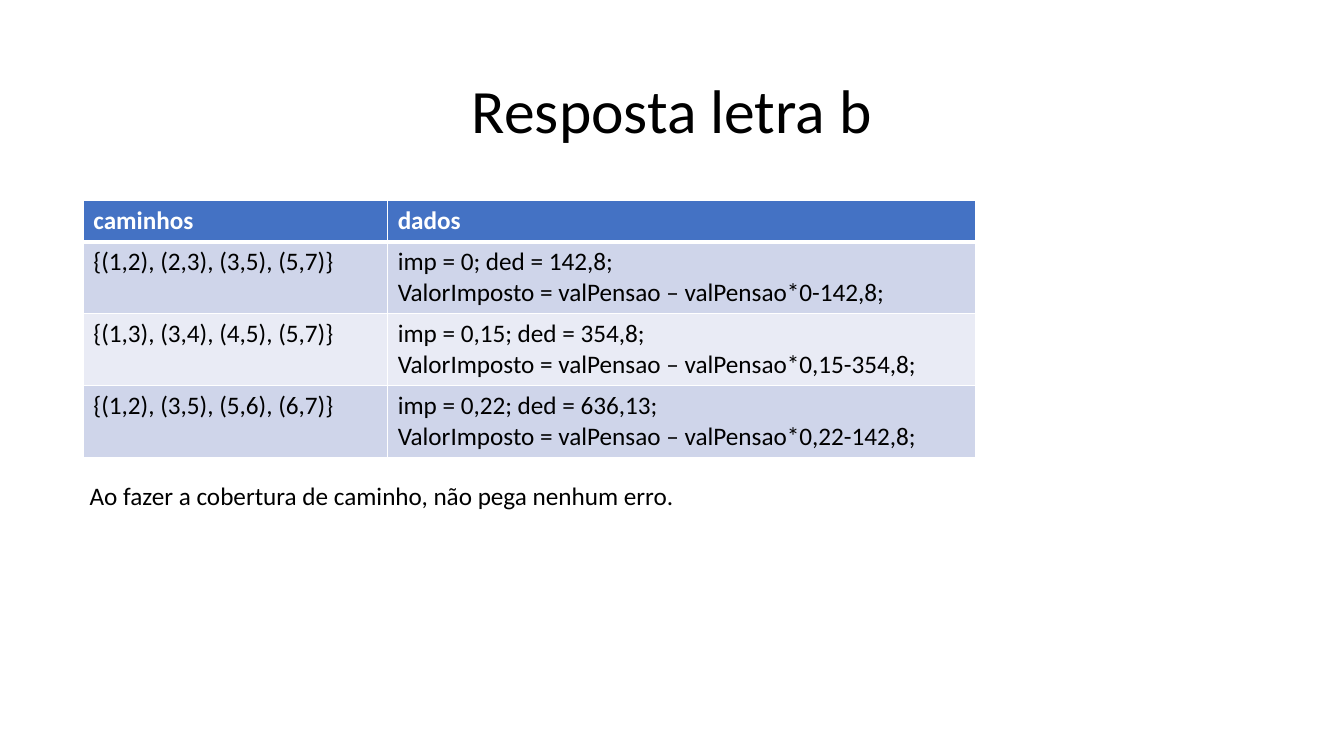
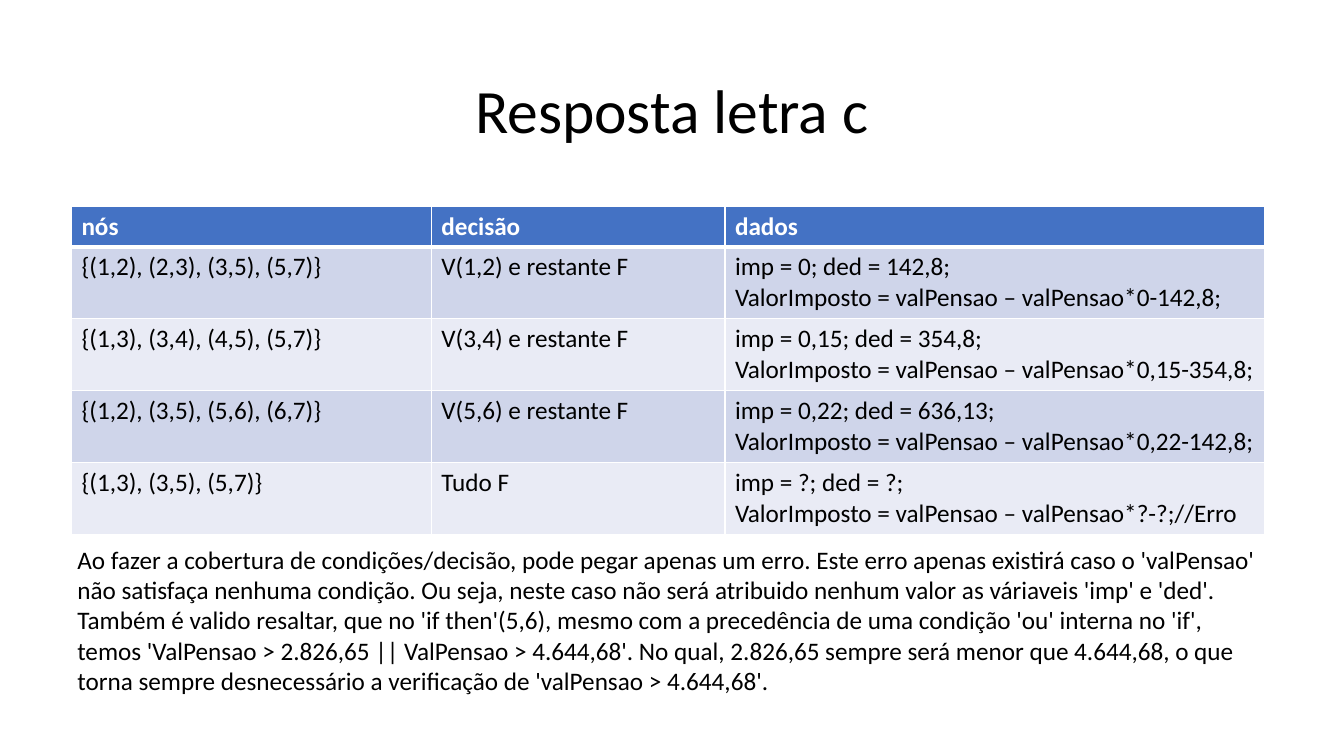
from dataclasses import dataclass

from lxml.etree import SubElement
from pptx import Presentation
from pptx.dml.color import RGBColor
from pptx.enum.text import MSO_ANCHOR as Anchor, PP_ALIGN as Align
from pptx.oxml.ns import qn
from pptx.slide import Slide
from pptx.table import _Cell as Cell
from pptx.text.text import TextFrame
from pptx.util import Cm, Pt

# Shared style
FONT = "Calibri"
COLORS = {
    "text": "000000",
    "grid": "FFFFFF",
    "header": "4472C4",
    "odd_row": "CFD5EA",
    "even_row": "E9EBF5",
}
HEADER_HEIGHT, BODY_HEIGHT = 1.03, 1.81
GRID_WIDTH, HEADER_RULE_WIDTH = 1, 3


@dataclass(frozen=True)
class Box:
    left: float
    top: float
    width: float
    height: float

    def lengths(self) -> tuple[Cm, Cm, Cm, Cm]:
        return Cm(self.left), Cm(self.top), Cm(self.width), Cm(self.height)


@dataclass(frozen=True)
class TestPath:
    nodes: str
    decision: str
    data: str


@dataclass(frozen=True)
class Column:
    heading: str
    width: float
    field: str


@dataclass(frozen=True)
class Answer:
    title: str
    table_left: float
    table_top: float
    columns: list[Column]
    paths: list[TestPath]
    note: str
    note_box: Box


TITLE_BOX = Box(2.33, 1.01, 29.21, 3.68)

# Content
PATHS = [
    TestPath("{(1,2), (2,3), (3,5), (5,7)}", "V(1,2) e restante F",
             "imp = 0; ded = 142,8;\n"
             "ValorImposto = valPensao – valPensao*0-142,8;"),
    TestPath("{(1,3), (3,4), (4,5), (5,7)}", "V(3,4) e restante F",
             "imp = 0,15; ded = 354,8;\n"
             "ValorImposto = valPensao – valPensao*0,15-354,8;"),
    TestPath("{(1,2), (3,5), (5,6), (6,7)}", "V(5,6) e restante F",
             "imp = 0,22; ded = 636,13;\n"
             "ValorImposto = valPensao – valPensao*0,22-142,8;"),
    TestPath("{(1,3), (3,5), (5,7)}", "Tudo F",
             "imp = ?; ded = ?;\n"
             "ValorImposto = valPensao – valPensao*?-?;//Erro"),
]

ANSWERS = [
    Answer(
        "Resposta letra b", 2.1, 5.06,
        [Column("caminhos", 7.67, "nodes"), Column("dados", 14.82, "data")],
        PATHS[:3],
        "Ao fazer a cobertura de caminho, não pega nenhum erro.",
        Box(2.01, 11.99, 30.45, 1.03),
    ),
    Answer(
        "Resposta letra c", 1.8, 5.19,
        [Column("nós", 9.07, "nodes"), Column("decisão", 7.4, "decision"),
         Column("dados", 13.59, "data")],
        PATHS,
        "Ao fazer a cobertura de condições/decisão, pode pegar apenas um erro. "
        "Este erro apenas existirá caso o 'valPensao' não satisfaça nenhuma "
        "condição. Ou seja, neste caso não será atribuido nenhum valor as "
        "váriaveis 'imp' e 'ded'.\n"
        "Também é valido resaltar, que no 'if then'(5,6), mesmo com a "
        "precedência de uma condição 'ou' interna no 'if', temos "
        "'ValPensao > 2.826,65 || ValPensao > 4.644,68'. No qual, 2.826,65 "
        "sempre será menor que 4.644,68, o que torna sempre desnecessário a "
        "verificação de 'valPensao > 4.644,68'.",
        Box(1.7, 13.59, 30.45, 4.11),
    ),
]


def write_text(frame: TextFrame, text: str, *, size: float = 18,
               color: str = "text", bold: bool = False,
               align: Align = Align.LEFT, anchor: Anchor = Anchor.TOP,
               spacing: float = 1.0) -> None:
    frame.word_wrap = True
    frame.vertical_anchor = anchor
    frame.text = text
    for paragraph in frame.paragraphs:
        paragraph.alignment = align
        paragraph.line_spacing = spacing
        for run in paragraph.runs:
            run.font.name = FONT
            run.font.size = Pt(size)
            run.font.bold = bold
            run.font.color.rgb = RGBColor.from_string(COLORS[color])


def style_cell(cell: Cell, fill: str, top: float, bottom: float) -> None:
    # Borders come before the fill in the cell properties
    properties = cell._tc.get_or_add_tcPr()
    widths = {"a:lnL": GRID_WIDTH, "a:lnR": GRID_WIDTH,
              "a:lnT": top, "a:lnB": bottom}
    for side, width in widths.items():
        border = SubElement(properties, qn(side), w=str(Pt(width)))
        paint = SubElement(border, qn("a:solidFill"))
        SubElement(paint, qn("a:srgbClr"), val=COLORS["grid"])
    cell.fill.solid()
    cell.fill.fore_color.rgb = RGBColor.from_string(COLORS[fill])


def add_title(slide: Slide, title: str) -> None:
    box = slide.shapes.add_textbox(*TITLE_BOX.lengths())
    write_text(box.text_frame, title, size=44, align=Align.CENTER,
               anchor=Anchor.MIDDLE, spacing=0.9)


def add_path_table(slide: Slide, answer: Answer) -> None:
    columns = answer.columns
    rows = [[column.heading for column in columns]]
    rows += [[getattr(path, column.field) for column in columns]
             for path in answer.paths]
    area = Box(answer.table_left, answer.table_top,
               sum(column.width for column in columns),
               HEADER_HEIGHT + BODY_HEIGHT * len(answer.paths))
    table = slide.shapes.add_table(
        len(rows), len(columns), *area.lengths()).table
    for index, column in enumerate(columns):
        table.columns[index].width = Cm(column.width)
    for row, texts in enumerate(rows):
        header = row == 0
        table.rows[row].height = Cm(HEADER_HEIGHT if header else BODY_HEIGHT)
        fill = "header" if header else "odd_row" if row % 2 else "even_row"
        top = HEADER_RULE_WIDTH if row == 1 else GRID_WIDTH
        bottom = HEADER_RULE_WIDTH if header else GRID_WIDTH
        for col, text in enumerate(texts):
            cell = table.cell(row, col)
            style_cell(cell, fill, top, bottom)
            write_text(cell.text_frame, text, bold=header,
                       color="grid" if header else "text")


def add_note(slide: Slide, answer: Answer) -> None:
    box = slide.shapes.add_textbox(*answer.note_box.lengths())
    write_text(box.text_frame, answer.note)


# Slides
deck = Presentation()
deck.slide_width, deck.slide_height = Cm(33.87), Cm(19.05)
blank_layout = deck.slide_layouts[6]
for answer in ANSWERS:
    slide = deck.slides.add_slide(blank_layout)
    add_title(slide, answer.title)
    add_path_table(slide, answer)
    add_note(slide, answer)
deck.save("out.pptx")
